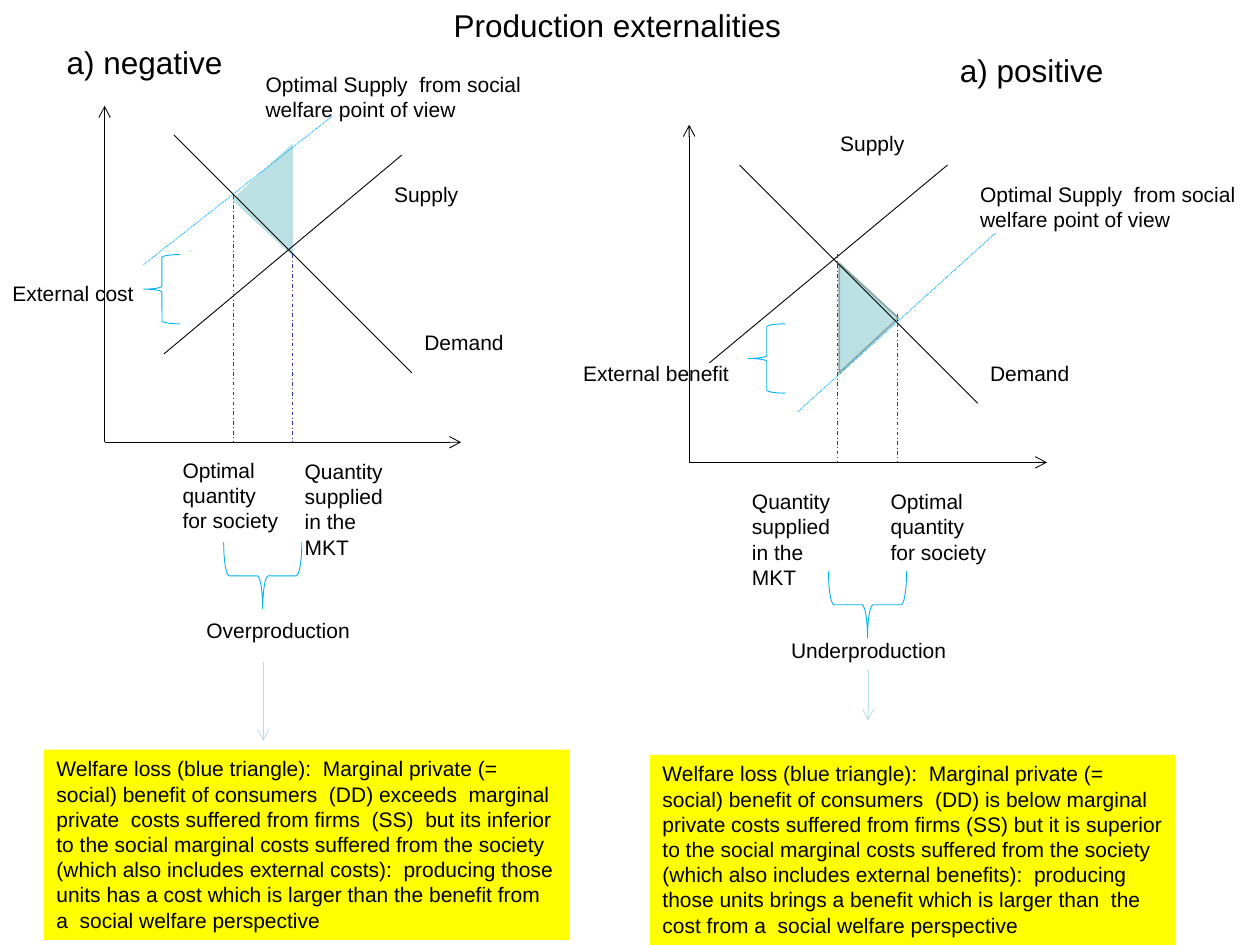
"""Build a slide comparing negative and positive production externalities."""
from typing import NamedTuple

from lxml.etree import SubElement
from pptx import Presentation
from pptx.dml.color import RGBColor
from pptx.enum.dml import MSO_LINE_DASH_STYLE as Dash
from pptx.enum.shapes import MSO_CONNECTOR as Connector, MSO_SHAPE as Preset
from pptx.enum.text import MSO_ANCHOR as Anchor, PP_ALIGN as Align
from pptx.oxml.ns import qn
from pptx.util import Inches, Pt

COLORS = {"text": "000000", "axis": "000000", "social": "00B0F0", "guide": "333399",
          "loss": "BBE0E3", "loss_edge": "8AA6A8", "note": "FFFF00"}
FRAME_FORMAT = {"word_wrap": True, "vertical_anchor": Anchor.TOP,
                "margin_left": Inches(0.1), "margin_right": Inches(0.1),
                "margin_top": Inches(0.05), "margin_bottom": Inches(0.05)}
SOCIAL_SUPPLY = "Optimal Supply  from social welfare point of view"
MARKET_QUANTITY = "Quantity supplied in the MKT"
OPTIMAL_QUANTITY = "Optimal quantity for society"
NOTE_START = "Welfare loss (blue triangle):  Marginal private (= social) benefit of consumers  (DD) "
SOCIAL_COSTS = "to the social marginal costs suffered from the society  (which also includes external "


class Stroke(NamedTuple):
    """A straight line with an optional dash and arrowhead."""
    start: tuple[float, float]
    end: tuple[float, float]
    color: str = "axis"
    dash: Dash | None = None
    arrow: bool = False


class Figure(NamedTuple):
    """A preset shape given by its unrotated box."""
    preset: Preset
    box: tuple[float, float, float, float]
    rotation: int = 0
    fill: str | None = None
    line: str | None = None
    weight: float = 0.5


class Label(NamedTuple):
    """A piece of text in a box."""
    text: str
    box: tuple[float, float, float, float]
    size: int = 12


class Panel(NamedTuple):
    """One market diagram with its labels and its note."""
    strokes: list[Stroke]
    figures: list[Figure]
    labels: list[Label]
    note: Label


def axes(left: float, bottom: float, right: float, top: float) -> list[Stroke]:
    """Return the quantity and price axes of a diagram."""
    origin = (left, bottom)
    return [Stroke(origin, (right, bottom), arrow=True),
            Stroke(origin, (left, top), arrow=True)]


def guide(x: float, top: float, bottom: float) -> Stroke:
    """Return a dashed line from a curve crossing down to the quantity axis."""
    return Stroke((x, top), (x, bottom), "guide", Dash.DASH_DOT)


def side_brace(left: float, top: float) -> Figure:
    """Return the brace that marks the external cost or benefit."""
    return Figure(Preset.LEFT_BRACE, (left, top, 0.29, 0.55), line="social")


def quantity_brace(left: float, top: float) -> Figure:
    """Return the brace that joins the two quantities."""
    return Figure(Preset.LEFT_BRACE, (left, top, 0.53, 0.62), 270, line="social")


def loss_triangle(left: float, top: float, rotation: int, line: str) -> Figure:
    """Return the welfare loss triangle."""
    return Figure(Preset.ISOSCELES_TRIANGLE, (left, top, 0.87, 0.47), rotation, "loss", line, 1)


NEGATIVE = Panel(
    [*axes(0.83, 3.51, 3.66, 0.84),
     Stroke((1.3, 2.81), (3.19, 1.23)),
     Stroke((1.38, 1.07), (3.27, 2.96)),
     Stroke((1.14, 2.1), (2.64, 0.92), "social", Dash.ROUND_DOT),
     guide(2.32, 2.02, 3.51), guide(1.85, 1.55, 3.51),
     Stroke((2.09, 5.25), (2.09, 5.88), "loss", arrow=True)],
    [side_brace(1.14, 2.02), quantity_brace(1.82, 4.26),
     loss_triangle(1.65, 1.35, 270, "loss")],
    [Label("a) negative", (0.43, 0.29, 1.81, 0.4), 18),
     Label("Supply", (3.03, 1.39, 0.94, 0.3)),
     Label(SOCIAL_SUPPLY, (2.01, 0.52, 2.6, 0.5)),
     Label("External cost", (0, 2.18, 2.05, 0.3)),
     Label("Demand", (3.27, 2.57, 0.94, 0.3)),
     Label(OPTIMAL_QUANTITY, (1.35, 3.58, 1.02, 0.71)),
     Label(MARKET_QUANTITY, (2.32, 3.59, 0.94, 0.71)),
     Label("Overproduction", (1.54, 4.85, 1.34, 0.3))],
    Label(NOTE_START + "exceeds  marginal private  costs suffered from firms  (SS)  "
          "but its inferior " + SOCIAL_COSTS + "costs):  producing those units has a cost "
          "which is larger than the benefit from a  social welfare perspective",
          (0.35, 5.95, 4.17, 1.51)))

POSITIVE = Panel(
    [*axes(5.47, 3.67, 8.31, 0.99),
     Stroke((5.63, 2.88), (7.52, 1.31)),
     Stroke((5.87, 1.31), (7.76, 3.2)),
     Stroke((6.33, 3.27), (7.9, 1.85), "social", Dash.ROUND_DOT),
     guide(6.65, 2.02, 3.67), guide(7.12, 2.49, 3.67),
     Stroke((6.89, 5.32), (6.89, 5.72), "loss", arrow=True)],
    [side_brace(5.94, 2.57), quantity_brace(6.62, 4.49),
     loss_triangle(6.46, 2.29, 90, "loss_edge")],
    [Label("a) positive", (7.52, 0.36, 1.81, 0.4), 18),
     Label("Supply", (6.57, 0.99, 0.94, 0.3)),
     Label(SOCIAL_SUPPLY, (7.68, 1.39, 2.32, 0.5)),
     Label("External benefit", (4.53, 2.81, 2.05, 0.3)),
     Label("Demand", (7.76, 2.81, 0.94, 0.3)),
     Label(OPTIMAL_QUANTITY, (6.97, 3.83, 1.02, 0.71)),
     Label(MARKET_QUANTITY, (5.87, 3.83, 0.94, 0.71)),
     Label("Underproduction", (6.18, 5.01, 1.65, 0.3))],
    Label(NOTE_START + "is below marginal private costs suffered from firms (SS) "
          "but it is superior " + SOCIAL_COSTS + "benefits):  producing those units brings a "
          "benefit which is larger than  the cost from a  social welfare perspective",
          (5.16, 5.99, 4.17, 1.51)))


def color(name: str) -> RGBColor:
    """Look up a named colour."""
    return RGBColor.from_string(COLORS[name])


def write(shape, label: Label) -> None:
    """Place a shape and write formatted text into it."""
    shape.left, shape.top, shape.width, shape.height = map(Inches, label.box)
    for name, value in FRAME_FORMAT.items():
        setattr(shape.text_frame, name, value)
    paragraph = shape.text_frame.paragraphs[0]
    paragraph.text = label.text
    paragraph.alignment = Align.LEFT
    for name, value in {"name": "Arial", "size": Pt(label.size)}.items():
        setattr(paragraph.runs[0].font, name, value)
    paragraph.runs[0].font.color.rgb = color("text")


def draw_stroke(slide, stroke: Stroke) -> None:
    """Draw a line, with an open arrowhead if asked for."""
    connector = slide.shapes.add_connector(
        Connector.STRAIGHT, *map(Inches, (*stroke.start, *stroke.end)))
    connector.line.width = Pt(0.5)
    connector.line.color.rgb = color(stroke.color)
    if stroke.dash is not None:
        connector.line.dash_style = stroke.dash
    properties = connector.element.spPr
    if stroke.arrow:
        SubElement(properties.find(qn("a:ln")), qn("a:tailEnd"), type="arrow")
    SubElement(properties, qn("a:effectLst"))


def draw_figure(slide, figure: Figure):
    """Draw a preset shape and return it."""
    shape = slide.shapes.add_shape(figure.preset, *map(Inches, figure.box))
    shape.shadow.inherit = False
    shape.rotation = figure.rotation
    if figure.fill:
        shape.fill.solid()
        shape.fill.fore_color.rgb = color(figure.fill)
    else:
        shape.fill.background()
    if figure.line:
        shape.line.color.rgb = color(figure.line)
        shape.line.width = Pt(figure.weight)
    else:
        shape.line.fill.background()
    return shape


def draw_panel(slide, panel: Panel) -> None:
    """Draw one diagram with its labels and note."""
    for figure in panel.figures:
        draw_figure(slide, figure)
    for stroke in panel.strokes:
        draw_stroke(slide, stroke)
    for label in panel.labels:
        write(slide.shapes.add_textbox(*map(Inches, label.box)), label)
    write(draw_figure(slide, Figure(Preset.RECTANGLE, panel.note.box, fill="note")), panel.note)


def main() -> None:
    """Build and save the presentation."""
    presentation = Presentation()
    presentation.slide_width, presentation.slide_height = Inches(10), Inches(7.5)
    slide = presentation.slides.add_slide(presentation.slide_layouts[5])
    write(slide.shapes.title, Label("Production externalities", (3.5, 0, 4.72, 0.4), 18))
    for panel in (NEGATIVE, POSITIVE):
        draw_panel(slide, panel)
    presentation.save("out.pptx")


if __name__ == "__main__":
    main()
